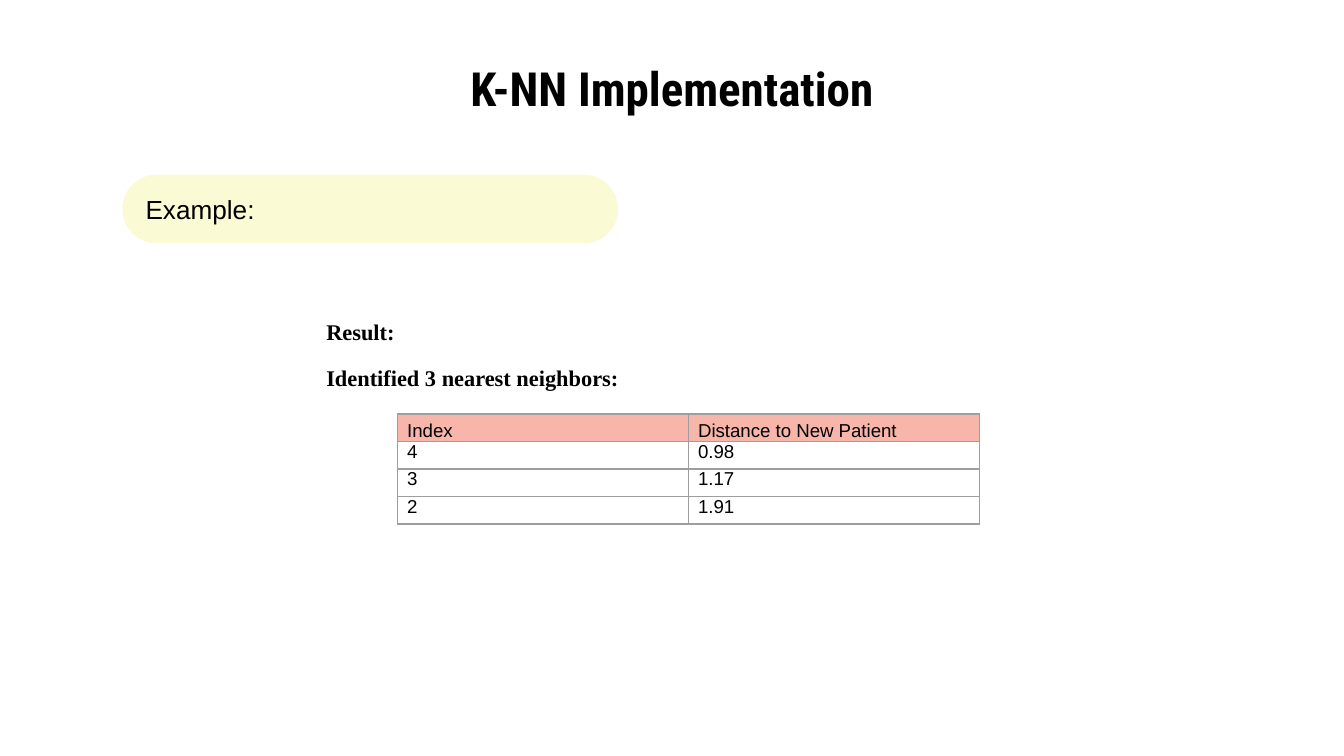
import pptx
import pptx.util
import pptx.dml.color
import pptx.enum.shapes
import pptx.enum.text
import pptx.oxml
import pptx.oxml.ns
from dataclasses import dataclass

Inches = pptx.util.Inches
Pt = pptx.util.Pt
Align = pptx.enum.text.PP_ALIGN
Anchor = pptx.enum.text.MSO_ANCHOR


@dataclass(frozen=True)
class Theme:
    ink: str = "000000"
    paper: str = "FFFFFF"
    badge: str = "FAFBD4"
    head: str = "F7B6A9"
    rule: str = "9E9E9E"
    title: tuple = ("Roboto Condensed", 25.2, True)
    label: tuple = ("Arial", 14, False)
    body: tuple = ("Times New Roman", 12, True)
    cell: tuple = ("Arial", 10, False)


THEME = Theme()
ROWS = [("Index", "Distance to New Patient"),
        ("4", "0.98"), ("3", "1.17"), ("2", "1.91")]


def color(code):
    return pptx.dml.color.RGBColor.from_string(code)


def paint(fill, code):
    fill.solid()
    fill.fore_color.rgb = color(code)


def write(frame, lines, style, align=Align.LEFT, after=0):
    """Put each line in its own paragraph."""
    for i, line in enumerate(lines):
        para = frame.add_paragraph() if i else frame.paragraphs[0]
        para.alignment = align
        para.space_after = Pt(after)
        run = para.add_run()
        run.text = line
        font = run.font
        font.name, size, font.bold = style
        font.size = Pt(size)
        font.color.rgb = color(THEME.ink)


def inset(frame, side, edge):
    frame.margin_left = frame.margin_right = Inches(side)
    frame.margin_top = frame.margin_bottom = Inches(edge)


def add_text(slide, box, lines, style, align=Align.LEFT, after=0,
             anchor=Anchor.TOP, edge=0.05):
    frame = slide.shapes.add_textbox(*map(Inches, box)).text_frame
    frame.word_wrap = True
    frame.vertical_anchor = anchor
    inset(frame, 0.1, edge)
    write(frame, lines, style, align, after)


def add_badge(slide, box, text):
    kind = pptx.enum.shapes.MSO_SHAPE.ROUNDED_RECTANGLE
    shape = slide.shapes.add_shape(kind, *map(Inches, box))
    shape.adjustments[0] = 0.5
    shape.shadow.inherit = False
    paint(shape.fill, THEME.badge)
    shape.line.fill.background()
    frame = shape.text_frame
    frame.vertical_anchor = Anchor.MIDDLE
    inset(frame, 0.1, 0.1)
    write(frame, [text], THEME.label)


def add_rules(cell):
    """Draw a line on all four sides of a cell."""
    props = cell._tc.get_or_add_tcPr()
    space = pptx.oxml.ns.nsdecls("a")
    for i, side in enumerate(("lnL", "lnR", "lnT", "lnB")):
        props.insert(i, pptx.oxml.parse_xml(
            f'<a:{side} {space} w="{Pt(0.75)}"><a:solidFill>'
            f'<a:srgbClr val="{THEME.rule}"/></a:solidFill></a:{side}>'))


def add_grid(slide, box, rows):
    table = slide.shapes.add_table(
        len(rows), len(rows[0]), *map(Inches, box)).table
    table.horz_banding = False
    for r, row in enumerate(rows):
        for c, text in enumerate(row):
            cell = table.cell(r, c)
            inset(cell, 0.07, 0)
            if r:
                cell.vertical_anchor = Anchor.TOP
                cell.fill.background()
            else:
                cell.vertical_anchor = Anchor.BOTTOM
                paint(cell.fill, THEME.head)
            write(cell.text_frame, [text], THEME.cell, after=1.8)
            add_rules(cell)


def main():
    deck = pptx.Presentation()
    # Widescreen, 16 to 9
    deck.slide_width = Inches(10)
    deck.slide_height = deck.slide_width * 9 // 16
    slide = deck.slides.add_slide(deck.slide_layouts[6])
    paint(slide.background.fill, THEME.paper)

    # Heading and label
    add_text(slide, (0.5, 0.45, 9, 0.41), ["K-NN Implementation"],
             THEME.title, Align.CENTER, anchor=Anchor.MIDDLE, edge=0.1)
    add_badge(slide, (0.91, 1.3, 3.69, 0.51), "Example:")

    # Result and its table
    add_text(slide, (2.33, 2.32, 6.27, 2.28),
             ["Result:", "Identified 3 nearest neighbors:"],
             THEME.body, after=10)
    add_grid(slide, (2.96, 3.08, 4.33, 0.82), ROWS)

    deck.save("out.pptx")


if __name__ == "__main__":
    main()
